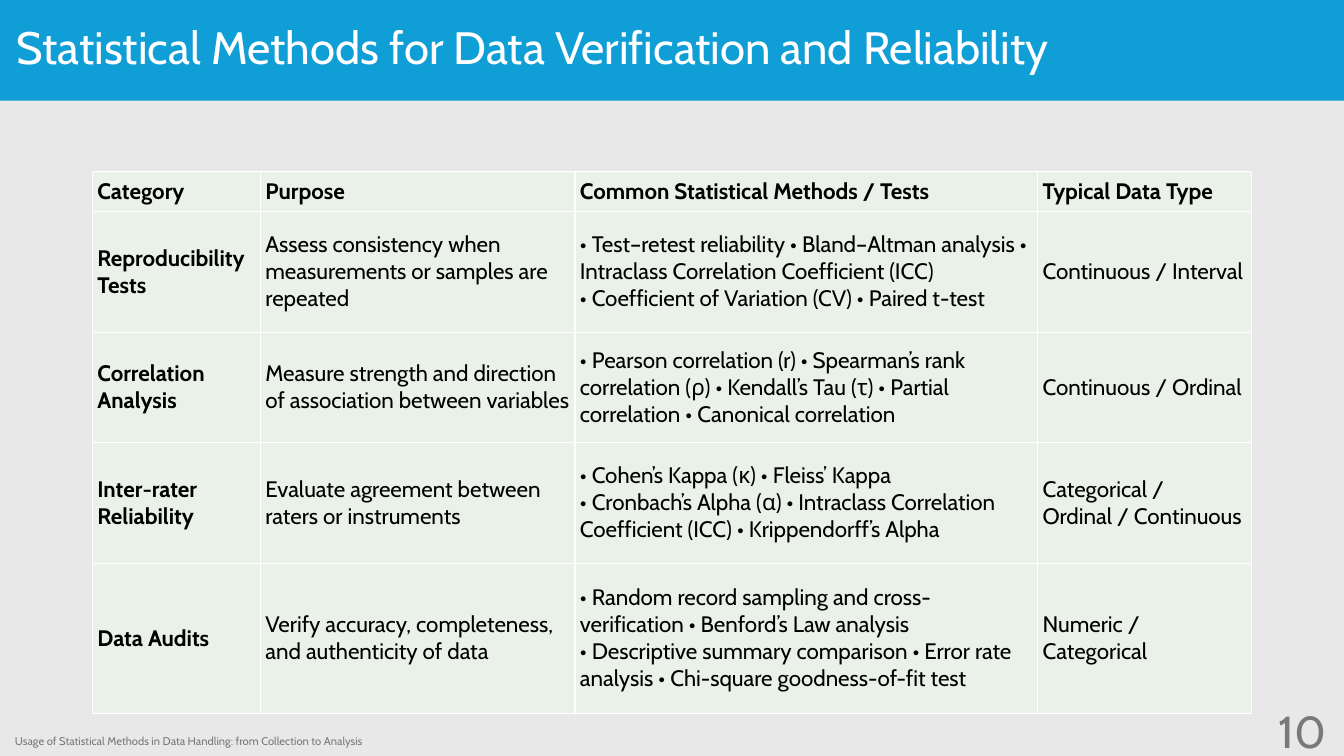
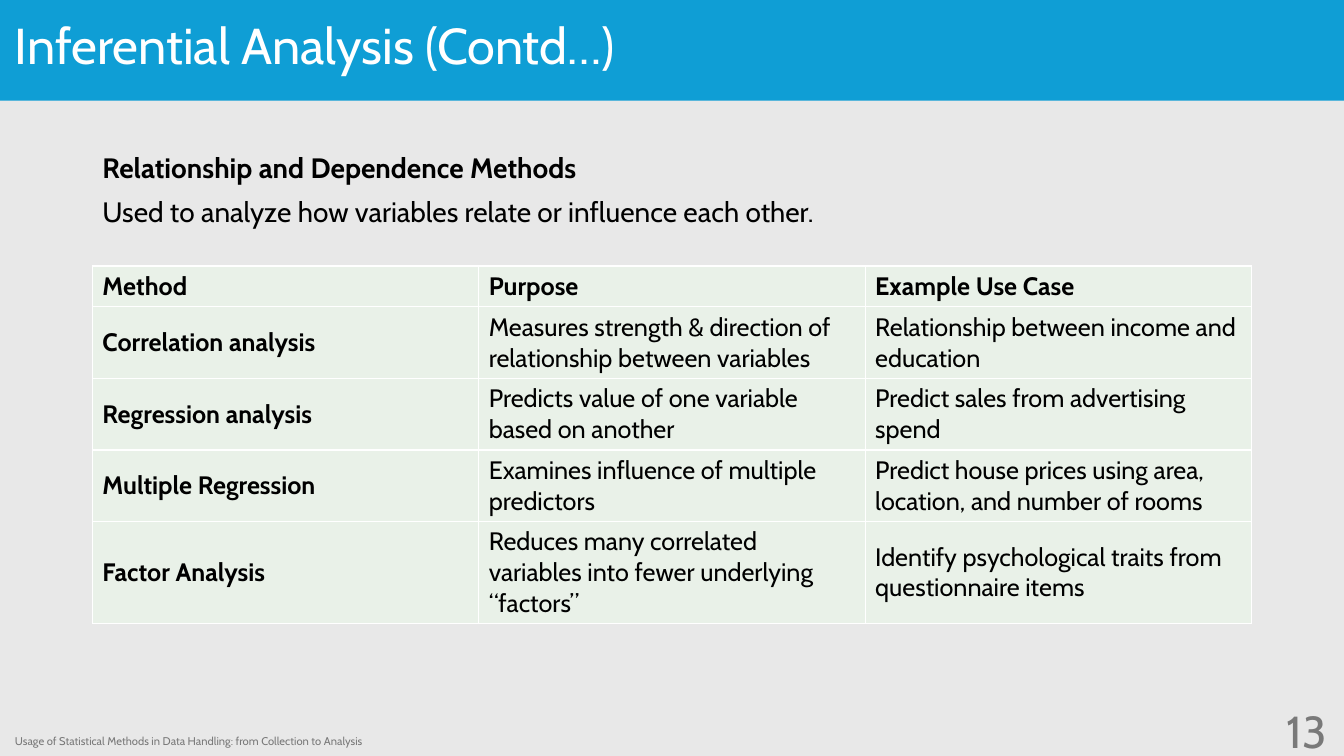
"""Build two table slides on statistical methods with a shared title band and footer."""
from dataclasses import dataclass

from lxml.etree import SubElement
from pptx import Presentation
from pptx.dml.color import RGBColor as RGB
from pptx.enum.shapes import MSO_SHAPE as SHAPE
from pptx.enum.text import MSO_ANCHOR as ANCHOR, PP_ALIGN as ALIGN
from pptx.oxml.ns import qn
from pptx.util import Pt

FOOTER = "Usage of Statistical Methods in Data Handling: from Collection to Analysis"

SLIDES = [
    {
        "title": "Statistical Methods for Data Verification and Reliability",
        "title_box": (5, 3.6, 792, 64),
        "title_size": 32.4,
        "number": "10",
        "intro": [],
        "table": {
            "top": 122.4,
            "cols": [120, 224.7, 330.5, 152.8],
            "rows": [28.6, 86.4, 78.6, 86.4, 107.2],
            "size": 16,
            "margins": (3.6, 2.2),
            "cells": [
                ("Category", "Purpose", "Common Statistical Methods / Tests", "Typical Data Type"),
                ("Reproducibility Tests",
                 "Assess consistency when measurements or samples are repeated",
                 "• Test–retest reliability • Bland–Altman analysis • Intraclass Correlation Coefficient (ICC)\n"
                 "• Coefficient of Variation (CV) • Paired t-test",
                 "Continuous / Interval"),
                ("Correlation Analysis",
                 "Measure strength and direction of association between variables",
                 "• Pearson correlation (r) • Spearman’s rank correlation (ρ) • Kendall’s Tau (τ) "
                 "• Partial correlation • Canonical correlation",
                 "Continuous / Ordinal"),
                ("Inter-rater Reliability",
                 "Evaluate agreement between raters or instruments",
                 "• Cohen’s Kappa (κ) • Fleiss’ Kappa\n"
                 "• Cronbach’s Alpha (α) • Intraclass Correlation Coefficient (ICC) • Krippendorff’s Alpha",
                 "Categorical / Ordinal / Continuous"),
                ("Data Audits",
                 "Verify accuracy, completeness, and authenticity of data",
                 "• Random record sampling and cross-verification • Benford’s Law analysis\n"
                 "• Descriptive summary comparison • Error rate analysis • Chi-square goodness-of-fit test",
                 "Numeric / Categorical"),
            ],
        },
    },
    {
        "title": "Inferential Analysis (Contd…)",
        "title_box": (3.6, 3.6, 792, 62),
        "title_size": 36,
        "number": "13",
        "intro": [
            ("Relationship and Dependence Methods", True),
            ("Used to analyze how variables relate or influence each other.", False),
        ],
        "table": {
            "top": 190,
            "cols": [276] * 3,
            "rows": [29.2, 51.1, 51.1, 51.1, 73],
            "size": 18,
            "margins": (7.2, 3.6),
            "cells": [
                ("Method", "Purpose", "Example Use Case"),
                ("Correlation analysis",
                 "Measures strength & direction of relationship between variables",
                 "Relationship between income and education"),
                ("Regression analysis",
                 "Predicts value of one variable based on another",
                 "Predict sales from advertising spend"),
                ("Multiple Regression",
                 "Examines influence of multiple predictors",
                 "Predict house prices using area, location, and number of rooms"),
                ("Factor Analysis",
                 "Reduces many correlated variables into fewer underlying “factors”",
                 "Identify psychological traits from questionnaire items"),
            ],
        },
    },
]


@dataclass(frozen=True)
class Theme:
    font: str = "Cabin"
    page: str = "E8E8E8"
    band: str = "0F9ED5"
    cell: str = "E9F1E8"
    border: str = "FFFFFF"
    title: str = "FFFFFF"
    text: str = "000000"
    muted: str = "797979"
    intro_size: float = 20
    footer_size: float = 8
    number_size: float = 32


T = Theme()
WIDTH, HEIGHT = 960, 540
BAND_HEIGHT = 72
LEFT, CONTENT_WIDTH = 66, 828


def apply(obj, **values):
    for name, value in values.items():
        setattr(obj, name, value)


def paint(fill, color):
    fill.solid()
    fill.fore_color.rgb = RGB.from_string(color)


def write(p, text, size, color, bold=False, **layout):
    apply(p, **layout)
    r = p.add_run()
    r.text = text
    apply(r.font, name=T.font, size=Pt(size), bold=bold)
    r.font.color.rgb = RGB.from_string(color)


def add_text(s, box, lines, size, color, anchor=ANCHOR.MIDDLE, **layout):
    tf = s.shapes.add_textbox(*map(Pt, box)).text_frame
    apply(tf, word_wrap=True, vertical_anchor=anchor)
    for i, (text, bold) in enumerate(lines):
        p = tf.add_paragraph() if i else tf.paragraphs[0]
        write(p, text, size, color, bold, **layout)


def add_borders(cell):
    tc_pr = cell._tc.get_or_add_tcPr()
    for side in "LRTB":
        ln = SubElement(tc_pr, qn(f"a:ln{side}"), w=str(Pt(1)))
        fill = SubElement(ln, qn("a:solidFill"))
        SubElement(fill, qn("a:srgbClr"), val=T.border)


def fill_cell(cell, text, size, margins, bold):
    x, y = map(Pt, margins)
    apply(cell, margin_left=x, margin_right=x, margin_top=y, margin_bottom=y,
          vertical_anchor=ANCHOR.MIDDLE)
    add_borders(cell)
    paint(cell.fill, T.cell)
    tf = cell.text_frame
    for i, line in enumerate(text.split("\n")):
        p = tf.add_paragraph() if i else tf.paragraphs[0]
        write(p, line, size, T.text, bold)


def add_methods_table(s, top, cols, rows, size, margins, cells):
    box = map(Pt, (LEFT, top, sum(cols), sum(rows)))
    table = s.shapes.add_table(len(rows), len(cols), *box).table
    table.horz_banding = False
    for col, width in zip(table.columns, cols):
        col.width = Pt(width)
    for row, height in zip(table.rows, rows):
        row.height = Pt(height)
    for i, texts in enumerate(cells):
        for j, text in enumerate(texts):
            fill_cell(table.cell(i, j), text, size, margins, bold=i == 0 or j == 0)


def add_frame(s, title, title_box, title_size, number):
    paint(s.background.fill, T.page)
    band = s.shapes.add_shape(SHAPE.RECTANGLE, 0, 0, Pt(WIDTH), Pt(BAND_HEIGHT))
    band.shadow.inherit = False
    paint(band.fill, T.band)
    band.line.fill.background()
    add_text(s, title_box, [(title, False)], title_size, T.title, line_spacing=0.9)
    add_text(s, (3.6, 520.6, 576, 18), [(FOOTER, False)], T.footer_size, T.muted)
    add_text(s, (738.7, 507.6, 216, 28.8), [(number, False)], T.number_size, T.muted,
             alignment=ALIGN.RIGHT)


def main():
    prs = Presentation()
    apply(prs, slide_width=Pt(WIDTH), slide_height=Pt(HEIGHT))
    for item in SLIDES:
        s = prs.slides.add_slide(prs.slide_layouts[6])
        add_frame(s, item["title"], item["title_box"], item["title_size"], item["number"])
        if item["intro"]:
            add_text(s, (LEFT, 106.6, CONTENT_WIDTH, 62), item["intro"], T.intro_size, T.text,
                     ANCHOR.TOP, line_spacing=0.9, space_before=Pt(10))
        add_methods_table(s, **item["table"])
    prs.save("out.pptx")


if __name__ == "__main__":
    main()
